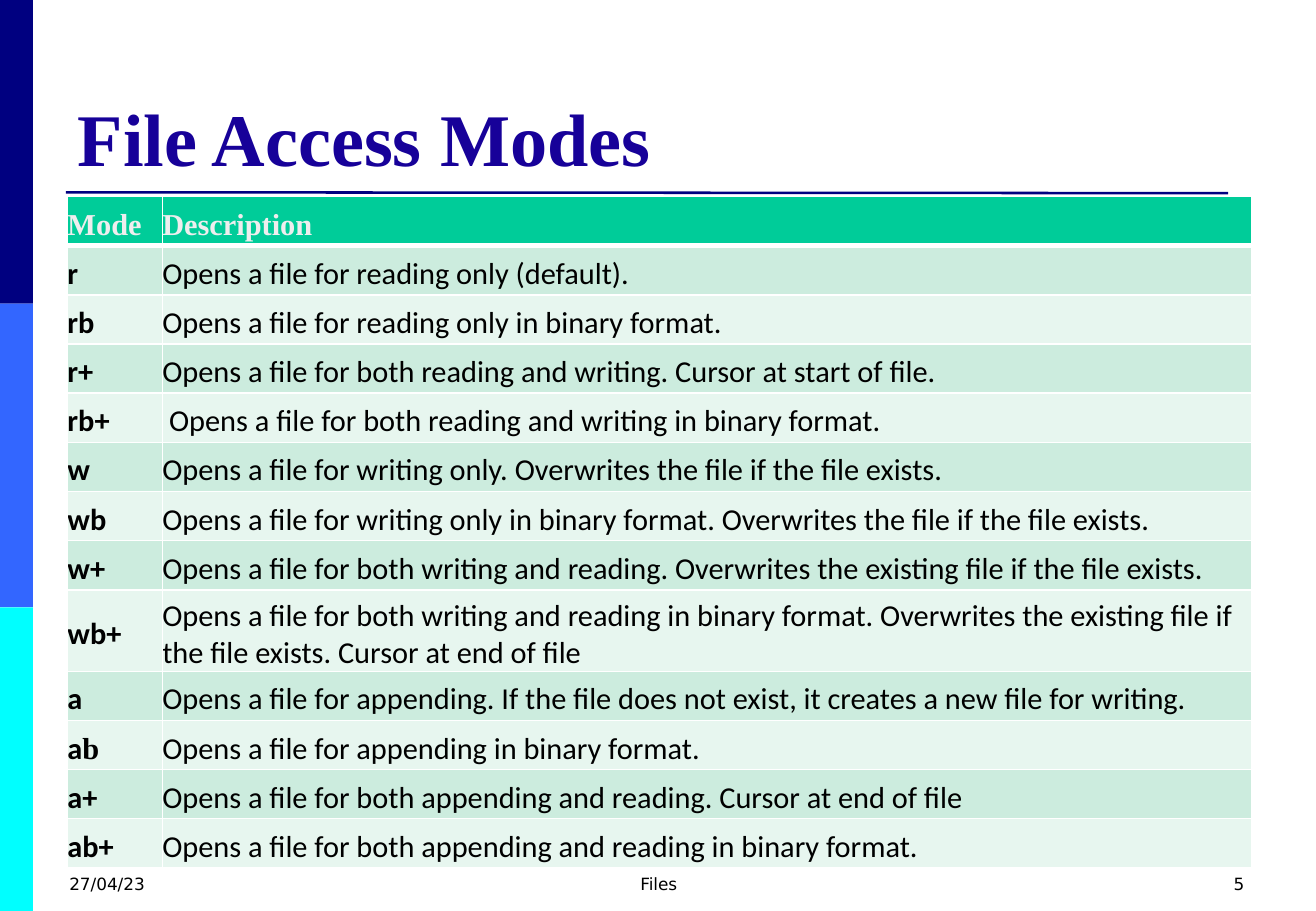
from typing import NamedTuple

import pptx
import pptx.dml.color
import pptx.enum.shapes
import pptx.enum.text
import pptx.oxml
import pptx.oxml.ns
import pptx.slide
import pptx.table
import pptx.util

Pt = pptx.util.Pt
RGBColor = pptx.dml.color.RGBColor
Align = pptx.enum.text.PP_ALIGN
Anchor = pptx.enum.text.MSO_ANCHOR

NAVY = RGBColor(0x00, 0x00, 0x80)
BLUE = RGBColor(0x33, 0x66, 0xFF)
CYAN = RGBColor(0x00, 0xFF, 0xFF)
TITLE_BLUE = RGBColor(0x17, 0x01, 0x99)
HEADER_GREEN = RGBColor(0x00, 0xCC, 0x99)
BAND_DARK = RGBColor(0xCC, 0xEC, 0xDE)
BAND_LIGHT = RGBColor(0xE7, 0xF6, 0xEF)
HEADER_TEXT = RGBColor(0xEE, 0xEE, 0xEE)
BLACK = RGBColor(0x00, 0x00, 0x00)
WHITE = RGBColor(0xFF, 0xFF, 0xFF)

SERIF = "Times New Roman"
SANS = "Calibri"
FOOTER_FONT = "DejaVu Sans"

SLIDE_WIDTH, SLIDE_HEIGHT = 780, 540
BAR_WIDTH = 19.5
COLUMN_WIDTHS = (56.2, 645.8)
ROW_HEIGHT, TALL_ROW_HEIGHT = 29.15, 48
TALL_MODE = "wb+"
CELL_INSET = 4.32


class Mode(NamedTuple):
    name: str
    description: str


class FooterItem(NamedTuple):
    text: str
    left: float
    width: float
    alignment: Align


MODES = (
    Mode("r", "Opens a file for reading only (default)."),
    Mode("rb", "Opens a file for reading only in binary format."),
    Mode("r+", "Opens a file for both reading and writing. Cursor at start of file."),
    Mode("rb+", " Opens a file for both reading and writing in binary format."),
    Mode("w", "Opens a file for writing only. Overwrites the file if the file exists."),
    Mode("wb", "Opens a file for writing only in binary format. Overwrites the file if the file exists."),
    Mode("w+", "Opens a file for both writing and reading. Overwrites the existing file if the file exists."),
    Mode("wb+", "Opens a file for both writing and reading in binary format. "
                "Overwrites the existing file if the file exists. Cursor at end of file"),
    Mode("a", "Opens a file for appending. If the file does not exist, it creates a new file for writing."),
    Mode("ab", "Opens a file for appending in binary format."),
    Mode("a+", "Opens a file for both appending and reading. Cursor at end of file"),
    Mode("ab+", "Opens a file for both appending and reading in binary format."),
)

FOOTER = (
    FooterItem("27/04/23", 34, 182, Align.LEFT),
    FooterItem("Files", 267, 247, Align.CENTER),
    FooterItem("5", 562.5, 182, Align.RIGHT),
)


def add_side_bars(slide: pptx.slide.Slide) -> None:
    height = SLIDE_HEIGHT / 3
    for index, color in enumerate((NAVY, BLUE, CYAN)):
        bar = slide.shapes.add_shape(
            pptx.enum.shapes.MSO_SHAPE.RECTANGLE,
            Pt(0), Pt(index * height), Pt(BAR_WIDTH), Pt(height))
        bar.shadow.inherit = False
        bar.fill.solid()
        bar.fill.fore_color.rgb = color
        bar.line.fill.background()


def add_title_rule(slide: pptx.slide.Slide) -> None:
    rule = slide.shapes.add_connector(
        pptx.enum.shapes.MSO_CONNECTOR.STRAIGHT, Pt(39), Pt(114), Pt(728), Pt(114.5))
    rule.line.color.rgb = NAVY
    rule.line.width = Pt(1.5)
    rule._element.spPr.append(pptx.oxml.parse_xml(
        f"<a:effectLst {pptx.oxml.ns.nsdecls('a')}/>"))


def set_title(slide: pptx.slide.Slide, text: str) -> None:
    title = slide.shapes.title
    title.left, title.top, title.width, title.height = Pt(39), Pt(21.6), Pt(702), Pt(89.3)
    frame = title.text_frame
    frame.text = text
    frame.auto_size = pptx.enum.text.MSO_AUTO_SIZE.NONE
    frame.vertical_anchor = Anchor.BOTTOM
    paragraph = frame.paragraphs[0]
    paragraph.alignment = Align.LEFT
    set_font(paragraph.font, SERIF, 44, TITLE_BLUE, True)


def set_font(font: pptx.text.text.Font, name: str, size: float,
             color: RGBColor, bold: bool) -> None:
    font.name = name
    font.size = Pt(size)
    font.color.rgb = color
    font.bold = bold


def set_borders(cell: pptx.table._Cell, bottom: float) -> None:
    properties = cell._tc.get_or_add_tcPr()
    for index, side in enumerate("LRTB"):
        width = Pt(bottom if side == "B" else 1)
        properties.insert(index, pptx.oxml.parse_xml(
            f'<a:ln{side} {pptx.oxml.ns.nsdecls("a")} w="{width}">'
            f'<a:solidFill><a:srgbClr val="{WHITE}"/></a:solidFill></a:ln{side}>'))


def format_cell(cell: pptx.table._Cell, text: str, fill: RGBColor, font_name: str,
                color: RGBColor, bold: bool, bottom: float = 1) -> None:
    cell.text = text
    cell.vertical_anchor = Anchor.MIDDLE
    cell.margin_left = cell.margin_bottom = Pt(0)
    cell.margin_top = cell.margin_right = Pt(CELL_INSET)
    cell.fill.solid()
    cell.fill.fore_color.rgb = fill
    set_borders(cell, bottom)
    set_font(cell.text_frame.paragraphs[0].font, font_name, 18, color, bold)


def add_mode_table(slide: pptx.slide.Slide) -> None:
    heights = [ROW_HEIGHT] + [
        TALL_ROW_HEIGHT if mode.name == TALL_MODE else ROW_HEIGHT for mode in MODES]
    table = slide.shapes.add_table(
        len(heights), len(COLUMN_WIDTHS), Pt(40), Pt(116.5),
        Pt(sum(COLUMN_WIDTHS)), Pt(sum(heights))).table
    for column, width in zip(table.columns, COLUMN_WIDTHS):
        column.width = Pt(width)
    for row, height in zip(table.rows, heights):
        row.height = Pt(height)

    for column, heading in enumerate(("Mode", "Description")):
        format_cell(table.cell(0, column), heading, HEADER_GREEN, SERIF, HEADER_TEXT, True, 3)
    for row, mode in enumerate(MODES, start=1):
        fill = BAND_DARK if row % 2 else BAND_LIGHT
        for column, text in enumerate(mode):
            format_cell(table.cell(row, column), text, fill, SANS, BLACK, column == 0)
        if mode.name == "ab":
            paragraph = table.cell(row, 0).text_frame.paragraphs[0]
            paragraph.runs[0].text = "a"
            serif_run = paragraph.add_run()
            serif_run.text = "b"
            serif_run.font.name = SERIF


def add_footer(slide: pptx.slide.Slide) -> None:
    for item in FOOTER:
        box = slide.shapes.add_textbox(Pt(item.left), Pt(514), Pt(item.width), Pt(26))
        frame = box.text_frame
        frame.word_wrap = True
        frame.text = item.text
        paragraph = frame.paragraphs[0]
        paragraph.alignment = item.alignment
        set_font(paragraph.font, FOOTER_FONT, 10, BLACK, False)


def main() -> None:
    presentation = pptx.Presentation()
    presentation.slide_width = Pt(SLIDE_WIDTH)
    presentation.slide_height = Pt(SLIDE_HEIGHT)
    slide = presentation.slides.add_slide(presentation.slide_layouts.get_by_name("Title Only"))
    add_side_bars(slide)
    add_title_rule(slide)
    set_title(slide, "File Access Modes")
    add_mode_table(slide)
    add_footer(slide)
    presentation.save("out.pptx")


if __name__ == "__main__":
    main()
